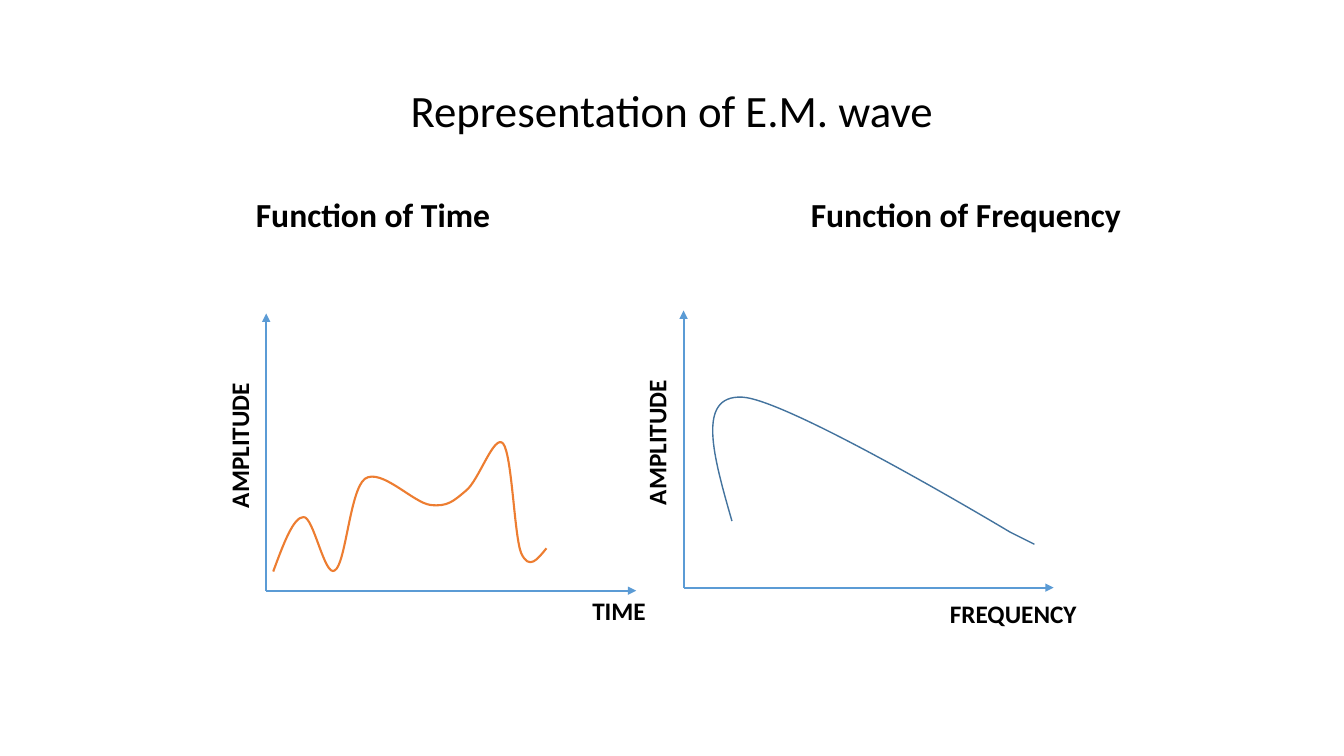
import pptx
import pptx.util
import pptx.dml.color
import pptx.enum.shapes
import pptx.enum.text
import pptx.oxml.ns
from lxml import etree

# Content: lengths in inches; curves are a start point followed by Bezier segments
SLIDE_WIDTH, SLIDE_HEIGHT = 13.33, 7.5
FONT, TEXT_COLOR, AXIS_COLOR = "Calibri", "000000", "5B9BD5"
TITLE = "Representation of E.M. wave"
HEADINGS = [("Function of Time", 3.7), ("Function of Frequency", 9.58)]
AXIS_LENGTH, AXIS_HEIGHT = 3.67, 2.75
LABEL_WIDTH, LABEL_HEIGHT = 3.33, 0.4
AMPLITUDE_OFFSET = (-0.27, -1.44)

GRAPHS = [
    {
        "origin": (2.64, 5.86), "label": "TIME", "label_offset": (3.5, 0.2),
        "color": "ED7D31", "weight": 1.5, "start": (2.71, 5.67),
        "segments": [
            ((2.81, 5.4), (2.91, 5.13), (3.01, 5.13)),
            ((3.11, 5.12), (3.22, 5.73), (3.32, 5.66)),
            ((3.43, 5.6), (3.47, 4.86), (3.62, 4.75)),
            ((3.78, 4.64), (4.1, 4.99), (4.27, 5.01)),
            ((4.44, 5.03), (4.5, 4.97), (4.62, 4.87)),
            ((4.75, 4.77), (4.9, 4.3), (4.99, 4.4)),
            ((5.08, 4.51), (5.1, 5.32), (5.17, 5.49)),
            ((5.25, 5.66), (5.33, 5.55), (5.42, 5.44)),
        ],
    },
    {
        "origin": (6.78, 5.83), "label": "FREQUENCY", "label_offset": (3.27, 0.26),
        "color": "43739E", "weight": 1, "start": (7.26, 5.17),
        "segments": [
            ((7.08, 4.54), (6.9, 3.92), (7.36, 3.94)),
            ((7.82, 3.96), (10.02, 5.28), (10.02, 5.28)),
            ((10.1, 5.32), (10.18, 5.36), (10.26, 5.4)),
        ],
    },
]

inches = pptx.util.Inches
qn = pptx.oxml.ns.qn


def color(value):
    return pptx.dml.color.RGBColor.from_string(value)


def add_label(page, text, center, size, points, bold=True, rotation=0, spacing=1.0):
    """Add one centred line of text around a centre point."""
    (x, y), (width, height) = center, size
    box = page.shapes.add_textbox(inches(x - width / 2), inches(y - height / 2),
                                  inches(width), inches(height))
    box.rotation = rotation
    frame = box.text_frame
    frame.word_wrap = True
    frame.vertical_anchor = pptx.enum.text.MSO_ANCHOR.MIDDLE
    frame.text = text
    para = frame.paragraphs[0]
    para.alignment = pptx.enum.text.PP_ALIGN.CENTER
    para.line_spacing = spacing
    span = para.runs[0]
    span.font.name = FONT
    span.font.size = pptx.util.Pt(points)
    span.font.bold = bold
    span.font.color.rgb = color(TEXT_COLOR)


def add_axis(page, start, end):
    """Add an axis with an arrowhead at its end."""
    axis = page.shapes.add_connector(pptx.enum.shapes.MSO_CONNECTOR.STRAIGHT,
                                     *(inches(value) for value in start + end))
    axis.line.color.rgb = color(AXIS_COLOR)
    axis.line.width = pptx.util.Pt(1.5)
    etree.SubElement(axis.line._get_or_add_ln(), qn("a:tailEnd"), type="triangle")
    etree.SubElement(axis._element.spPr, qn("a:effectLst"))


def to_emu(point):
    return tuple(int(inches(value)) for value in point)


def add_curve(page, graph):
    """Join the anchor points, then bend each line with its two control points."""
    segments = graph["segments"]
    builder = page.shapes.build_freeform(*to_emu(graph["start"]), scale=1.0)
    builder.add_line_segments([to_emu(segment[-1]) for segment in segments], close=False)
    curve = builder.convert_to_shape()
    lines = list(curve._element.iter(qn("a:lnTo")))
    for line, (*controls, _) in zip(lines, segments):
        line.tag = qn("a:cubicBezTo")
        for index, control in enumerate(controls):
            x, y = to_emu(control)
            point = etree.Element(qn("a:pt"), x=str(x - curve.left), y=str(y - curve.top))
            line.insert(index, point)
    curve.shadow.inherit = False
    curve.fill.background()
    curve.line.color.rgb = color(graph["color"])
    curve.line.width = pptx.util.Pt(graph["weight"])


def main():
    deck = pptx.Presentation()
    deck.slide_width, deck.slide_height = inches(SLIDE_WIDTH), inches(SLIDE_HEIGHT)
    page = deck.slides.add_slide(deck.slide_layouts[6])

    # Title and column headings
    add_label(page, TITLE, (SLIDE_WIDTH / 2, 1.12), (11.5, 1.45), 32,
              bold=False, spacing=0.9)
    for text, x in HEADINGS:
        add_label(page, text, (x, 2.15), (5.64, 0.5), 24, spacing=0.9)

    # Graphs: axes, curve and axis labels
    label_size = (LABEL_WIDTH, LABEL_HEIGHT)
    for graph in GRAPHS:
        x, y = graph["origin"]
        add_axis(page, (x, y), (x, y - AXIS_HEIGHT))
        add_axis(page, (x, y), (x + AXIS_LENGTH, y))
        add_curve(page, graph)
        for text, (dx, dy), rotation in (
            (graph["label"], graph["label_offset"], 0),
            ("AMPLITUDE", AMPLITUDE_OFFSET, 270),
        ):
            add_label(page, text, (x + dx, y + dy), label_size, 18, rotation=rotation)

    deck.save("out.pptx")


if __name__ == "__main__":
    main()
